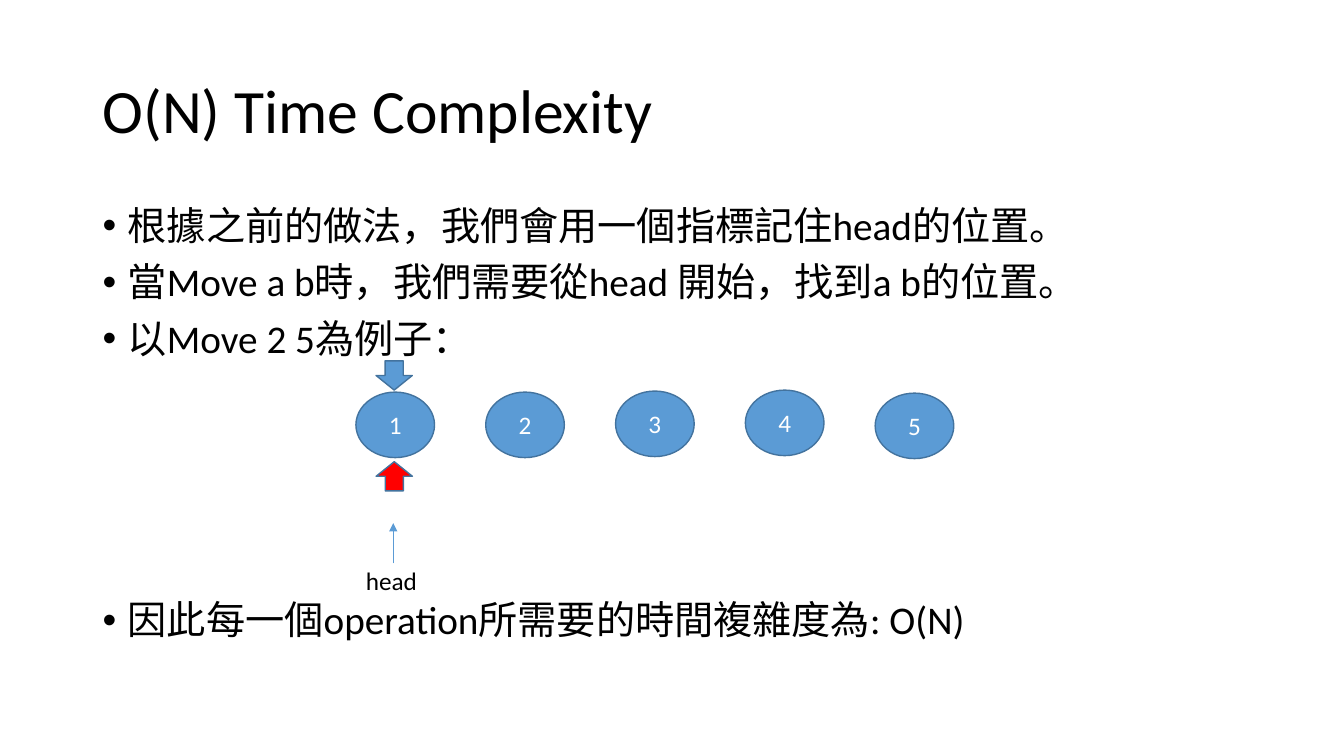
"""Build the O(N) time complexity slide."""
from dataclasses import dataclass

from lxml import etree
from pptx import Presentation, util as u
from pptx.dml.color import RGBColor as Rgb
from pptx.enum import shapes, text
from pptx.oxml.ns import qn


@dataclass
class Theme:
    font: str = "Calibri"
    ink: str = "000000"
    pale: str = "FFFFFF"
    blue: str = "5B9BD5"
    edge: str = "43739E"
    red: str = "FF0000"
    title: int = 44
    body: int = 28
    label: int = 18


look = Theme()
Kind = shapes.MSO_SHAPE
Mid = text.MSO_ANCHOR.MIDDLE


def write(shape, lines, size=look.label, color=look.ink, anchor=text.MSO_ANCHOR.TOP,
          align=text.PP_ALIGN.LEFT, wrap=True, leading=1.0, gaps=None, bullet=None):
    frame = shape.text_frame
    frame.word_wrap, frame.vertical_anchor = wrap, anchor
    frame.text = "\n".join(lines)
    for i, para in enumerate(frame.paragraphs):
        para.alignment, para.line_spacing = align, leading
        para.font.name, para.font.size = look.font, u.Pt(size)
        para.font.color.rgb = Rgb.from_string(color)
        if gaps:
            para.space_before = u.Pt(gaps[i])
        if bullet:
            props = para._p.get_or_add_pPr()
            props.set("marL", str(u.Inches(0.25)))
            props.set("indent", str(u.Inches(-0.25)))
            face = etree.Element(qn("a:buFont"), typeface="Arial")
            mark = etree.Element(qn("a:buChar"), char=bullet)
            props.find(qn("a:defRPr")).addprevious(face)
            face.addnext(mark)


def draw(kind, left, top, wide, high, fill):
    shape = slide.shapes.add_shape(kind, *map(u.Inches, (left, top, wide, high)))
    shape.shadow.inherit = False
    shape.fill.solid()
    shape.fill.fore_color.rgb = Rgb.from_string(fill)
    shape.line.color.rgb = Rgb.from_string(look.edge)
    shape.line.width = u.Pt(1)
    return shape


deck = Presentation()
deck.slide_width, deck.slide_height = u.Inches(13.33), u.Inches(7.5)
slide = deck.slides.add_slide(deck.slide_layouts[6])

title = slide.shapes.add_textbox(*map(u.Inches, (0.92, 0.4, 11.5, 1.45)))
write(title, ["O(N) Time Complexity"], size=look.title, anchor=Mid, leading=0.9)

points = ["根據之前的做法，我們會用一個指標記住head的位置。",
          "當Move a b時，我們需要從head 開始，找到a b的位置。",
          "以Move 2 5為例子：",
          "因此每一個operation所需要的時間複雜度為: O(N)"]
body = slide.shapes.add_textbox(*map(u.Inches, (0.92, 2, 11.5, 4.76)))
write(body, points, size=look.body, leading=0.9, gaps=[10, 10, 10, 171], bullet="•")

for i, top in enumerate([3.89, 3.89, 3.88, 3.87, 3.9]):
    node = draw(Kind.OVAL, 3.53 + 1.2875 * i, top, 0.78, 0.65, look.blue)
    write(node, [str(i + 1)], color=look.pale, anchor=Mid, align=text.PP_ALIGN.CENTER)

for top, turn, fill in [(3.58, 0, look.blue), (4.58, 180, look.red)]:
    draw(Kind.DOWN_ARROW, 3.73, top, 0.36, 0.29, fill).rotation = turn

link = slide.shapes.add_connector(shapes.MSO_CONNECTOR.STRAIGHT,
                                  *map(u.Inches, (3.9, 5.59, 3.9, 5.19)))
link.line.color.rgb = Rgb.from_string(look.blue)
link.line.width = u.Pt(0.5)
props = link._element.spPr
etree.SubElement(props.find(qn("a:ln")), qn("a:tailEnd"), type="triangle")
etree.SubElement(props, qn("a:effectLst"))

head = slide.shapes.add_textbox(*map(u.Inches, (3.53, 5.56, 0.72, 0.4)))
write(head, ["head"], wrap=False)

deck.save("out.pptx")
